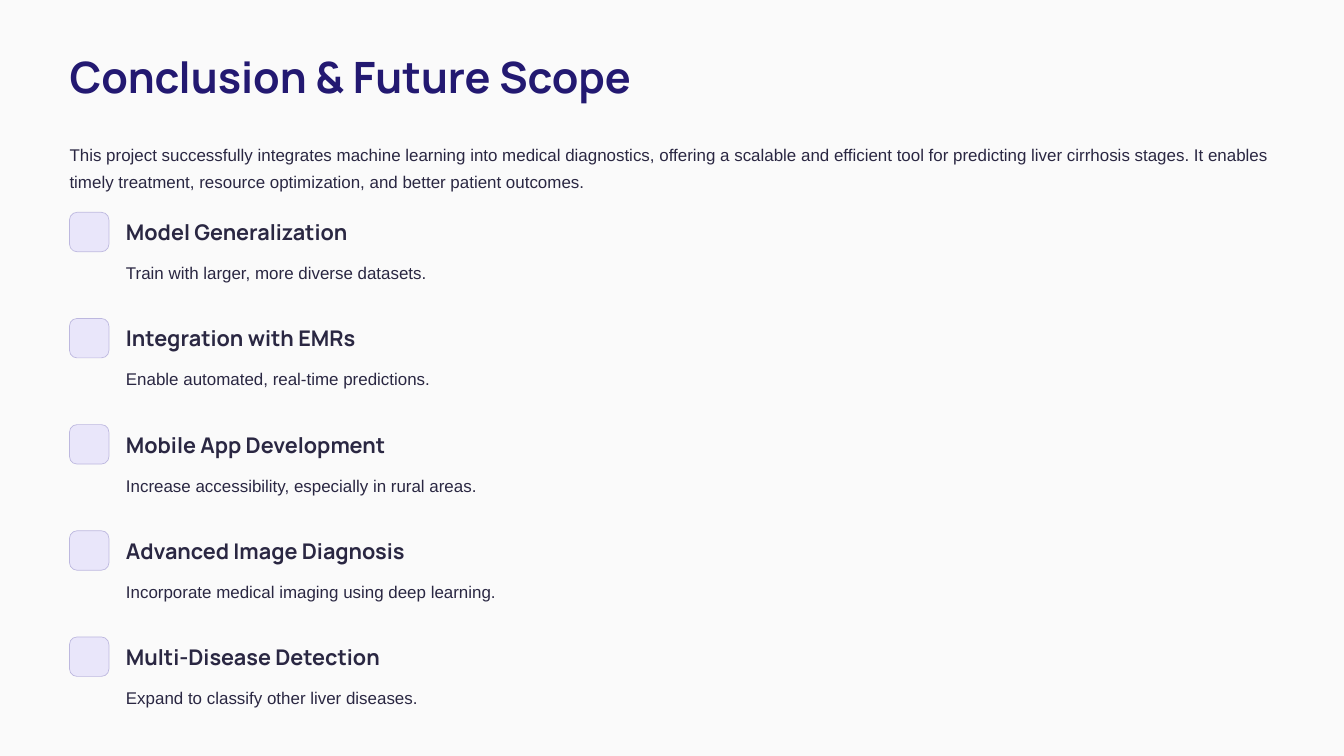
from dataclasses import dataclass

from pptx import Presentation
from pptx.dml.color import RGBColor
from pptx.enum.shapes import MSO_SHAPE
from pptx.enum.text import MSO_ANCHOR, PP_ALIGN
from pptx.util import Pt


@dataclass(frozen=True)
class Theme:
    background: str = "FAFAFA"
    title: str = "231971"
    ink: str = "2A2742"
    tile: str = "E9E6FA"
    tile_line: str = "BDB8DF"
    heading_font: str = "Manrope"
    body_font: str = "Arial"
    title_size: float = 37
    heading_size: float = 18.5
    body_size: float = 14.5


def add_text(frame, text, *, font, size, color, leading, bold=False):
    para = frame.paragraphs[0]
    para.alignment = PP_ALIGN.LEFT
    para.line_spacing = Pt(leading)
    span = para.add_run()
    span.text = text
    span.font.name = font
    span.font.size = Pt(size)
    span.font.bold = bold
    span.font.color.rgb = RGBColor.from_string(color)


class SlideBuilder:
    def __init__(self, page, theme):
        self.page = page
        self.theme = theme

    def background(self):
        fill = self.page.background.fill
        fill.solid()
        fill.fore_color.rgb = RGBColor.from_string(self.theme.background)

    def text(self, text, left, top, width, height, **style):
        box = self.page.shapes.add_textbox(Pt(left), Pt(top), Pt(width), Pt(height))
        frame = box.text_frame
        frame.word_wrap = True
        frame.vertical_anchor = MSO_ANCHOR.TOP
        frame.margin_left = frame.margin_right = 0
        frame.margin_top = frame.margin_bottom = 0
        add_text(frame, text, **style)

    def title(self, text, left, top, width, height):
        theme = self.theme
        self.text(text, left, top, width, height, font=theme.heading_font,
                  size=theme.title_size, color=theme.title, leading=46.5, bold=True)

    def heading(self, text, left, top, width, height):
        theme = self.theme
        self.text(text, left, top, width, height, font=theme.heading_font,
                  size=theme.heading_size, color=theme.ink, leading=23, bold=True)

    def body(self, text, left, top, width, height):
        theme = self.theme
        self.text(text, left, top, width, height, font=theme.body_font,
                  size=theme.body_size, color=theme.ink, leading=23.5)

    def tile(self, left, top, size):
        tile = self.page.shapes.add_shape(
            MSO_SHAPE.ROUNDED_RECTANGLE, Pt(left), Pt(top), Pt(size), Pt(size))
        tile.adjustments[0] = 0.19
        tile.shadow.inherit = False
        tile.fill.solid()
        tile.fill.fore_color.rgb = RGBColor.from_string(self.theme.tile)
        tile.line.color.rgb = RGBColor.from_string(self.theme.tile_line)
        tile.line.width = Pt(0.6)


INTRO = (
    "This project successfully integrates machine learning into medical diagnostics, "
    "offering a scalable and efficient tool for predicting liver cirrhosis stages. "
    "It enables timely treatment, resource optimization, and better patient outcomes."
)

FUTURE_SCOPE = [
    ("Model Generalization", "Train with larger, more diverse datasets."),
    ("Integration with EMRs", "Enable automated, real-time predictions."),
    ("Mobile App Development", "Increase accessibility, especially in rural areas."),
    ("Advanced Image Diagnosis", "Incorporate medical imaging using deep learning."),
    ("Multi-Disease Detection", "Expand to classify other liver diseases."),
]

MARGIN = 59.6
TEXT_LEFT = 108
FIRST_ROW = 182
ROW_PITCH = 91


def main():
    deck = Presentation()
    deck.slide_width = Pt(1152)
    deck.slide_height = Pt(648)
    page = deck.slides.add_slide(deck.slide_layouts[6])
    builder = SlideBuilder(page, Theme())

    builder.background()
    builder.title("Conclusion & Future Scope", MARGIN, 41, 510, 46.8)
    builder.body(INTRO, MARGIN, 117.6, 1032.4, 47.5)

    for row, (heading, detail) in enumerate(FUTURE_SCOPE):
        top = FIRST_ROW + row * ROW_PITCH
        builder.tile(MARGIN, top, 33.8)
        builder.heading(heading, TEXT_LEFT, top + 5.1, 260, 23)
        builder.body(detail, TEXT_LEFT, top + 37.2, 984.2, 23.8)

    deck.save("out.pptx")


if __name__ == "__main__":
    main()
